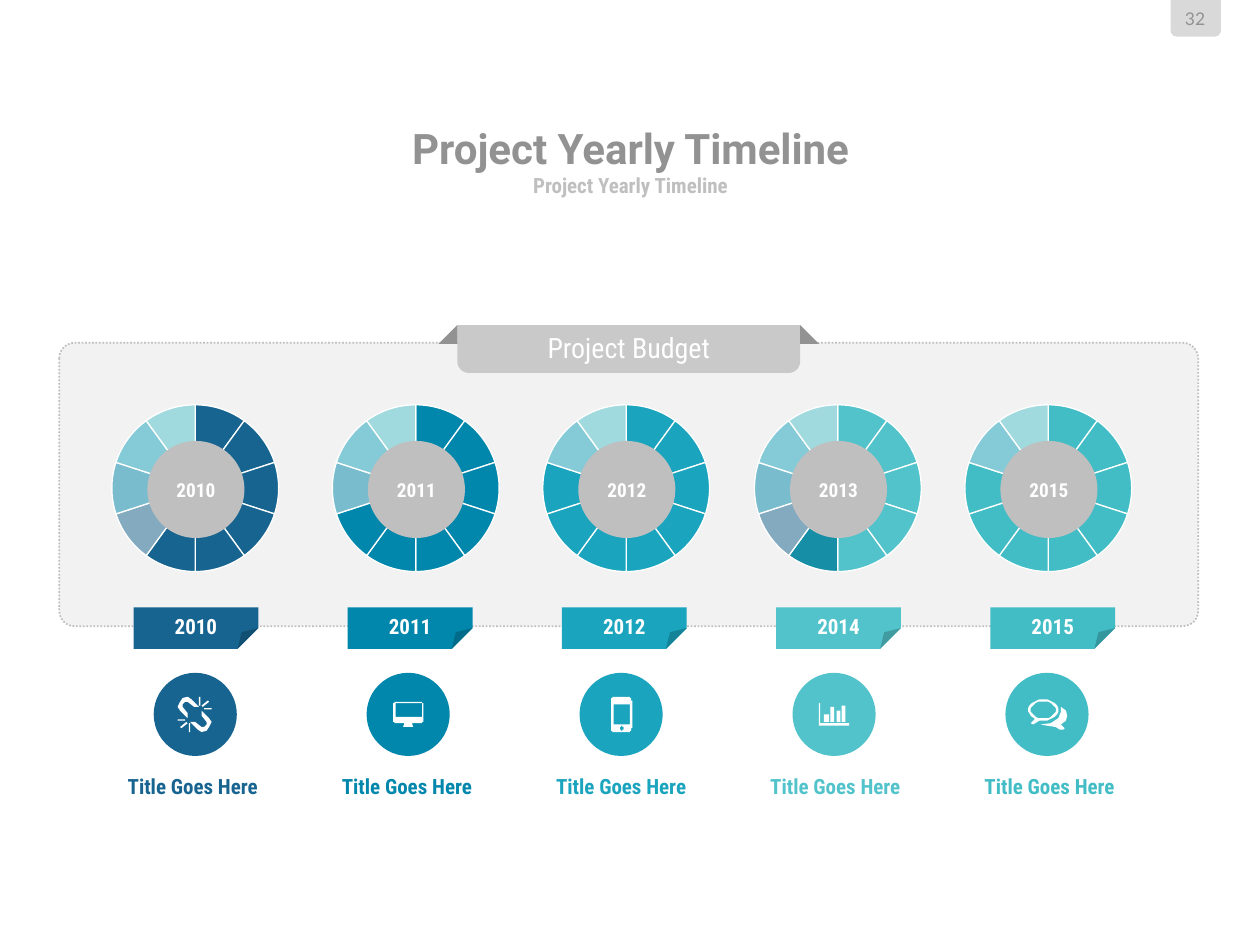
from dataclasses import dataclass
from math import cos, radians, sin

from lxml import etree
from pptx import Presentation
from pptx.chart import data as cd
from pptx.dml import color as col
from pptx.enum import chart as ch, dml, shapes, text
from pptx.oxml import ns
from pptx.util import Inches, Pt

SHAPE = shapes.MSO_SHAPE
MIDDLE, TOP = text.MSO_ANCHOR.MIDDLE, text.MSO_ANCHOR.TOP


@dataclass(frozen=True)
class Theme:
    years: tuple = ("176490", "0187AC", "1AA4BE", "52C3CB", "42BDC6")
    late: str = "168EA6"
    white: str = "FFFFFF"
    panel: str = "F2F2F2"
    ribbon: str = "C9C9C9"
    mid_grey: str = "BFBFBF"
    dark_grey: str = "929292"
    tab: str = "D9D9D9"
    chart_text: str = "262626"
    heading_font: str = "Roboto"
    body_font: str = "Roboto Condensed"
    page_font: str = "Lato"
    title: int = 24
    ribbon_size: int = 16
    label: int = 12
    hub: int = 11
    page: int = 10
    chart_size: int = 18


T = Theme()


def rgb(value):
    return col.RGBColor.from_string(value)


def set_font(font, size, color, bold=True, name=T.body_font):
    for key, value in {"size": Pt(size), "bold": bold, "name": name}.items():
        setattr(font, key, value)
    font.color.rgb = rgb(color)


def write(shape, words, size, color, anchor=MIDDLE, inset=None, wrap=True, **font):
    frame = shape.text_frame
    values = {"word_wrap": wrap, "vertical_anchor": anchor,
              "auto_size": text.MSO_AUTO_SIZE.NONE}
    if inset is not None:
        values.update({f"margin_{side}": Inches(inset)
                       for side in ("left", "top", "right", "bottom")})
    for key, value in values.items():
        setattr(frame, key, value)
    paragraph = frame.paragraphs[0]
    paragraph.alignment = text.PP_ALIGN.CENTER
    paragraph.space_before = Pt(0)
    run = paragraph.add_run()
    run.text = words
    set_font(run.font, size, color, **font)
    return run


def paint(shape, fill):
    shape.shadow.inherit = False
    shape.fill.solid()
    shape.fill.fore_color.rgb = rgb(fill)
    shape.line.fill.background()
    return shape


def add_block(slide, kind, box, fill, adjust=(), rotation=0):
    block = paint(slide.shapes.add_shape(kind, *map(Inches, box)), fill)
    block.rotation = rotation
    for i, value in enumerate(adjust):
        block.adjustments[i] = value
    return block


def add_label(slide, box, words, size, color, **options):
    label = slide.shapes.add_textbox(*map(Inches, box))
    write(label, words, size, color, inset=0, **options)


# Icon outlines, in hundredths of an inch from the corner of the icon's circle
def arc(cx, cy, rx, ry, start=0, end=360):
    steps = 32
    angles = (radians(start + (end - start) * i / steps) for i in range(steps + 1))
    return [(cx + rx * cos(a), cy + ry * sin(a)) for a in angles]


def bar(x, y, w, h, r=0):
    if not r:
        return [(x, y), (x + w, y), (x + w, y + h), (x, y + h)]
    corners = ((x + w - r, y + h - r), (x + r, y + h - r), (x + r, y + r), (x + w - r, y + r))
    return [p for i, (cx, cy) in enumerate(corners)
            for p in arc(cx, cy, r, r, 90 * i, 90 * i + 90)]


def broken_link():
    half = [
        [(32, 27), (27, 23), (25, 23), (23, 25), (23, 27), (27, 32), (27, 36), (26, 35),
         (21, 30), (19, 27), (21, 23), (23, 20), (27, 19), (30, 21), (35, 26), (36, 27)],
        bar(19, 37, 6, 1), bar(28, 40, 1, 7), [(21, 43), (26, 39), (27, 40), (22, 44)]]
    return half + [[(65 - x, 66 - y) for x, y in outline] for outline in half]


ICONS = (
    broken_link(),
    # Monitor
    [bar(21, 23, 24, 17, 2), bar(23, 24, 21, 11), [(30, 40), (36, 40), (37, 43), (29, 43)]],
    # Phone
    [bar(25, 19, 16.5, 28, 3), bar(27, 25, 12.5, 16), bar(31.5, 21.5, 4, 0.8),
     arc(33.5, 44, 1.5, 1.8)],
    # Bar chart
    [[(21, 24), (22, 24), (22, 40), (45, 40), (45, 42), (21, 42)],
     bar(25, 33, 4, 6), bar(30, 27, 3, 12), bar(35, 30, 3, 9), bar(39, 26, 3, 13)],
    # Speech bubbles
    [arc(30, 29.5, 12, 8.5, 128, 465) + [(22, 41), (20, 40), (23, 37)],
     arc(30, 29.5, 10, 6.5),
     [(44, 27), (48, 30), (49, 34), (48, 38), (44, 41), (47, 44), (46, 45), (43, 45),
      (40, 43), (33, 42.5), (28, 41), (36, 40), (42, 36.5), (44.5, 31)]],
)


def add_icon(slide, left, top, outlines):
    first, *others = outlines
    builder = slide.shapes.build_freeform(*first[0], scale=Inches(0.01))
    builder.add_line_segments(first[1:], close=True)
    for outline in others:
        builder.move_to(*outline[0])
        builder.add_line_segments(outline[1:], close=True)
    paint(builder.convert_to_shape(Inches(left), Inches(top)), T.white)


def add_ring(slide, left, top, solid, faded):
    data = cd.CategoryChartData()
    data.categories = [str(i) for i in range(1, 11)]
    data.add_series("Series 1", [10] * 10)
    chart = slide.shapes.add_chart(ch.XL_CHART_TYPE.DOUGHNUT, Inches(left), Inches(top),
                                   Inches(1.6), Inches(1.69), data).chart
    chart.has_title = chart.has_legend = False
    set_font(chart.font, T.chart_size, T.chart_text, bold=False)
    plot = chart.plots[0]
    plot.vary_by_categories = False
    plot._element.find(ns.qn("c:holeSize")).set("val", "70")
    for i, color in enumerate(solid + faded):
        style = plot.series[0].points[i].format
        style.fill.solid()
        style.fill.fore_color.rgb = rgb(color)
        if i >= len(solid):
            tint = style.fill._xPr.find(ns.qn("a:solidFill"))[0]
            etree.SubElement(tint, ns.qn("a:alpha"), val="50000")
        style.line.color.rgb = rgb(T.white)
        style.line.width = Pt(0.75)


def add_heading(slide, left, top, width):
    title, subtitle = slide.shapes.title, slide.placeholders[1]
    rows = ((title, (left, top, width, 0.39), T.title, T.dark_grey, T.heading_font),
            (subtitle, (left, top + 0.38, width, 0.22), T.label, T.mid_grey, T.body_font))
    for holder, box, size, color, name in rows:
        for key, value in zip(("left", "top", "width", "height"), box):
            setattr(holder, key, Inches(value))
        run = write(holder, "Project Yearly Timeline", size, color,
                    inset=0, wrap=False, name=name)
        run.font._element.set("cap", "none")


def add_page_tab(slide, left, top):
    add_block(slide, SHAPE.ROUND_2_SAME_RECTANGLE, (left, top, 0.4, 0.29), T.tab, rotation=180)
    add_label(slide, (left + 0.03, top + 0.06, 0.33, 0.17), "32", T.page, T.dark_grey,
              bold=False, name=T.page_font)


def add_panel(slide, left, top, width, height):
    panel = add_block(slide, SHAPE.ROUNDED_RECTANGLE, (left, top, width, height),
                      T.panel, (0.055,))
    panel.line.color.rgb = rgb(T.mid_grey)
    panel.line.width = Pt(1)
    panel.line.dash_style = dml.MSO_LINE.ROUND_DOT


def add_ribbon(slide, left, top, width):
    ribbon = add_block(slide, SHAPE.ROUND_2_SAME_RECTANGLE, (left, top, width, 0.38),
                       T.ribbon, (0, 0.238))
    write(ribbon, "Project Budget", T.ribbon_size, T.white, bold=False)
    fold = 0.15
    for x, turn in ((left - fold, 270), (left + width, 0)):
        add_block(slide, SHAPE.RIGHT_TRIANGLE, (x, top, fold, fold), T.dark_grey, rotation=turn)


def add_year(slide, i, ring_left, hub_year, tag_year, solid):
    color = T.years[i]
    # Ring with its hub
    add_ring(slide, ring_left, 3.03, solid, list(T.years[len(solid) - 6:4]))
    hub = add_block(slide, SHAPE.OVAL, (ring_left + 0.42, 3.5, 0.77, 0.77), T.mid_grey)
    write(hub, hub_year, T.hub, T.white)
    # Year tag, folded over half its height
    tag = add_block(slide, SHAPE.FOLDED_CORNER, (1.06 + 1.7 * i, 4.82, 0.99, 0.33), color)
    guides = next(tag._element.iter(ns.qn("a:avLst")))
    etree.SubElement(guides, ns.qn("a:gd"), name="adj", fmla="val 50000")
    write(tag, tag_year, T.label, T.white, anchor=TOP)
    # Icon and caption
    icon_left, icon_top = 1.22 + 1.69 * i, 5.34
    add_block(slide, SHAPE.OVAL, (icon_left, icon_top, 0.66, 0.66), color)
    add_icon(slide, icon_left, icon_top, ICONS[i])
    add_label(slide, (0.92 + 1.7 * i, 6.14, 1.22, 0.2), "Title Goes Here", T.label, color,
              anchor=TOP)


def main():
    deck = Presentation()
    deck.slide_width, deck.slide_height = Inches(10), Inches(7.5)
    slide = deck.slides.add_slide(deck.slide_layouts[2])
    add_page_tab(slide, 9.29, 0)
    add_heading(slide, 1.92, 0.98, 6.17)
    add_panel(slide, 0.47, 2.72, 9.04, 2.25)
    add_ribbon(slide, 3.63, 2.58, 2.72)
    c = T.years
    years = ((0.75, "2010", "2010", [c[0]] * 6),
             (2.5, "2011", "2011", [c[1]] * 7),
             (4.17, "2012", "2012", [c[2]] * 8),
             (5.85, "2013", "2014", [c[3]] * 5 + [T.late]),
             (7.52, "2015", "2015", [c[4]] * 8))
    for i, year in enumerate(years):
        add_year(slide, i, *year)
    deck.save("out.pptx")


if __name__ == "__main__":
    main()
